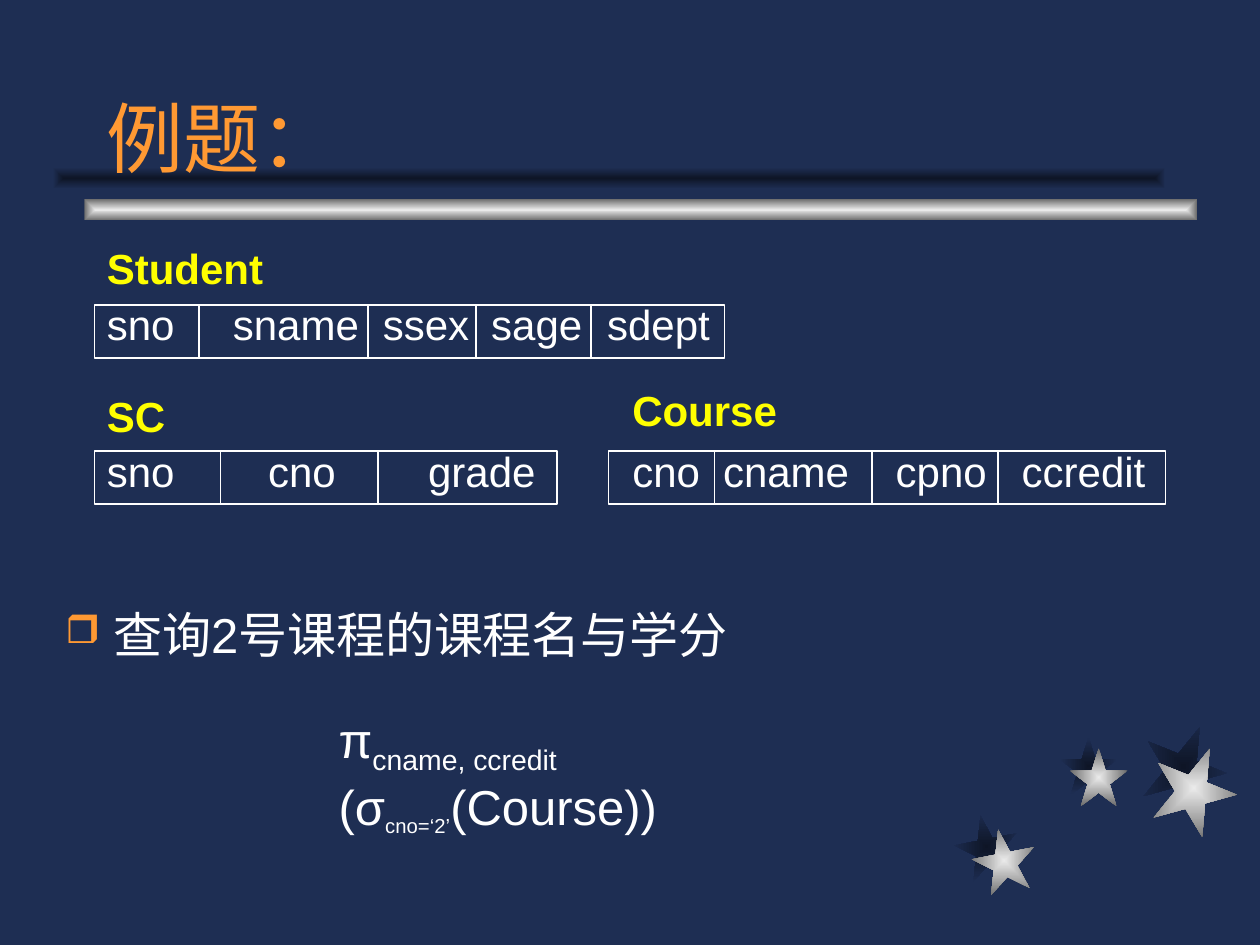
from dataclasses import dataclass

from lxml import etree
from pptx import Presentation
from pptx.dml.color import RGBColor
from pptx.enum import shapes, text
from pptx.oxml import ns, parse_xml
from pptx.util import Inches, Pt


@dataclass(frozen=True)
class Theme:
    font: str = "Arial"
    background: str = "1E2E53"
    accent: str = "FF9933"
    heading: str = "FFFF00"
    white: str = "FFFFFF"
    metal: tuple = ("EAEAEA", "6C6C6C")
    shade: tuple = ("0E1526", "1E2E53")
    title_size: int = 44
    body_size: int = 28
    label_size: int = 24
    small_size: int = 20


THEME = Theme()


def color(value):
    return RGBColor.from_string(value)


def style(font, size, value, bold=False):
    font.name = THEME.font
    font.size = Pt(size)
    font.bold = bold
    font.color.rgb = color(value)


def add_text(slide, left, top, width, height, anchor=text.MSO_ANCHOR.TOP):
    box = slide.shapes.add_textbox(Inches(left), Inches(top), Inches(width), Inches(height))
    box.text_frame.word_wrap = True
    box.text_frame.vertical_anchor = anchor
    return box.text_frame


def add_ornament(slide, kind, box, colors, rotation=0):
    """Draw a shape whose gradient runs from its centre to its edges."""
    shape = slide.shapes.add_shape(kind, *map(Inches, box))
    shape.rotation = rotation
    shape.shadow.inherit = False
    shape.line.fill.background()
    shape.fill.gradient()
    for stop, position, value in zip(shape.fill.gradient_stops, (0, 1), colors):
        stop.position = position
        stop.color.rgb = color(value)
    gradient = shape.element.spPr.find(ns.qn("a:gradFill"))
    gradient.replace(gradient.find(ns.qn("a:lin")), parse_xml(
        f'<a:path {ns.nsdecls("a")} path="rect">'
        '<a:fillToRect l="50000" t="50000" r="50000" b="50000"/></a:path>'))


def add_stars(slide, left, top):
    # Shadow offset, star offset, size, rotation
    stars = [
        ((0, 0.72), (0.14, 0.83), 0.5, 349),
        ((0.83, 0.1), (0.91, 0.19), 0.46, 0),
        ((1.48, 0), (1.56, 0.17), 0.67, 22),
    ]
    for layer, colors in enumerate((THEME.shade, THEME.metal)):
        for star in stars:
            x, y = star[layer]
            size, rotation = star[2:]
            add_ornament(slide, shapes.MSO_SHAPE.STAR_5_POINT,
                         (left + x, top + y, size, size), colors, rotation)


def add_title(slide, left, top, width, height):
    # Bar with its shadow up and to the left
    bar_top = top + height + 0.08
    for offset, colors in ((0, THEME.metal), (0.25, THEME.shade)):
        add_ornament(slide, shapes.MSO_SHAPE.RECTANGLE,
                     (left - 0.08 - offset, bar_top - offset, 8.83, 0.17), colors)
    frame = add_text(slide, left, top, width, height, text.MSO_ANCHOR.BOTTOM)
    frame.text = "例题："
    style(frame.paragraphs[0].font, THEME.title_size, THEME.accent)


def add_schema_text(slide, box, relations, spacings):
    """Write each relation as a heading and a tabbed line of attributes."""
    frame = add_text(slide, *box)
    frame.text = "\n".join(f"{name}\n" + "\t".join(attributes)
                           for name, attributes, stops in relations)
    for index, (paragraph, spacing) in enumerate(zip(frame.paragraphs, spacings)):
        is_heading = index % 2 == 0
        paragraph.line_spacing = spacing
        paragraph.space_before = Pt(6 if index else 0)
        if not is_heading:
            tabs = etree.SubElement(paragraph._p.get_or_add_pPr(), ns.qn("a:tabLst"))
            for stop in relations[index // 2][2]:
                etree.SubElement(tabs, ns.qn("a:tab"), pos=str(Inches(stop)), algn="l")
        style(paragraph.font, THEME.label_size,
              THEME.heading if is_heading else THEME.white, is_heading)


def add_schema_frame(slide, left, top, width, dividers, height=0.42):
    frame = slide.shapes.add_shape(shapes.MSO_SHAPE.RECTANGLE, Inches(left), Inches(top),
                                   Inches(width), Inches(height))
    frame.shadow.inherit = False
    frame.fill.background()
    lines = [frame.line]
    for offset in dividers:
        x = Inches(left + offset)
        divider = slide.shapes.add_connector(shapes.MSO_CONNECTOR.STRAIGHT, x, Inches(top),
                                             x, Inches(top + height))
        etree.SubElement(divider.element.spPr, ns.qn("a:effectLst"))
        lines.append(divider.line)
    for line in lines:
        line.color.rgb = color(THEME.white)
        line.width = Pt(1)


def add_schemas(slide, left, top):
    student = ("Student", ["sno", "sname", "ssex", "sage", "sdept"], [1, 2.19, 3.05, 3.97])
    enrolment = ("SC", ["sno", "cno", "grade"], [1.28, 2.55])
    course = ("Course", ["cno", "cname", "cpno", "ccredit"], [0.72, 2.09, 3.09])
    add_schema_text(slide, (left, top, 5.33, 3.08), [student, enrolment], [0.9, 0.9, 1.6, 0.9])
    add_schema_frame(slide, left, top + 0.5, 5, [0.83, 2.17, 3.03, 3.94])
    add_schema_frame(slide, left, top + 1.66, 3.67, [1, 2.25])
    add_schema_text(slide, (left + 4.17, top + 1.08, 4.27, 0.99), [course], [1, 1])
    add_schema_frame(slide, left + 4.08, top + 1.66, 4.42, [0.84, 2.09, 3.09])


def add_question(slide, left, top, width, height):
    frame = add_text(slide, left, top, width, height)
    frame.text = "查询2号课程的课程名与学分"
    paragraph = frame.paragraphs[0]
    properties = paragraph._p.get_or_add_pPr()
    properties.set("marL", str(Inches(0.38)))
    properties.set("indent", str(-Inches(0.38)))
    bullet_color = etree.SubElement(properties, ns.qn("a:buClr"))
    etree.SubElement(bullet_color, ns.qn("a:srgbClr"), val=THEME.accent)
    etree.SubElement(properties, ns.qn("a:buSzPct"), val="80000")
    etree.SubElement(properties, ns.qn("a:buChar"), char="❒")
    style(paragraph.font, THEME.body_size, THEME.white)


def add_formula(slide, left, top, width, height):
    frame = add_text(slide, left, top, width, height)
    frame.margin_right = Inches(1.5)  # wraps before the selection
    # Text, size, is subscript
    parts = [
        ("π", THEME.body_size, False),
        ("cname, ccredit ", THEME.body_size, True),
        ("(σ", THEME.body_size, False),
        ("cno=‘2’", THEME.small_size, True),
        ("(Course))", THEME.body_size, False),
    ]
    for words, size, is_subscript in parts:
        run = frame.paragraphs[0].add_run()
        run.text = words
        style(run.font, size, THEME.white)
        if is_subscript:
            run.font._element.set("baseline", "-25000")


def main():
    presentation = Presentation()
    presentation.slide_width = Inches(10)
    presentation.slide_height = Inches(7.5)
    slide = presentation.slides.add_slide(presentation.slide_layouts[6])
    slide.background.fill.solid()
    slide.background.fill.fore_color.rgb = color(THEME.background)

    add_stars(slide, 7.58, 5.75)
    add_title(slide, 0.75, 0.25, 8.5, 1.25)
    add_question(slide, 0.42, 4.75, 8.25, 1)
    add_schemas(slide, 0.75, 1.92)
    add_formula(slide, 2.59, 5.58, 4.46, 0.63)
    presentation.save("out.pptx")


if __name__ == "__main__":
    main()
